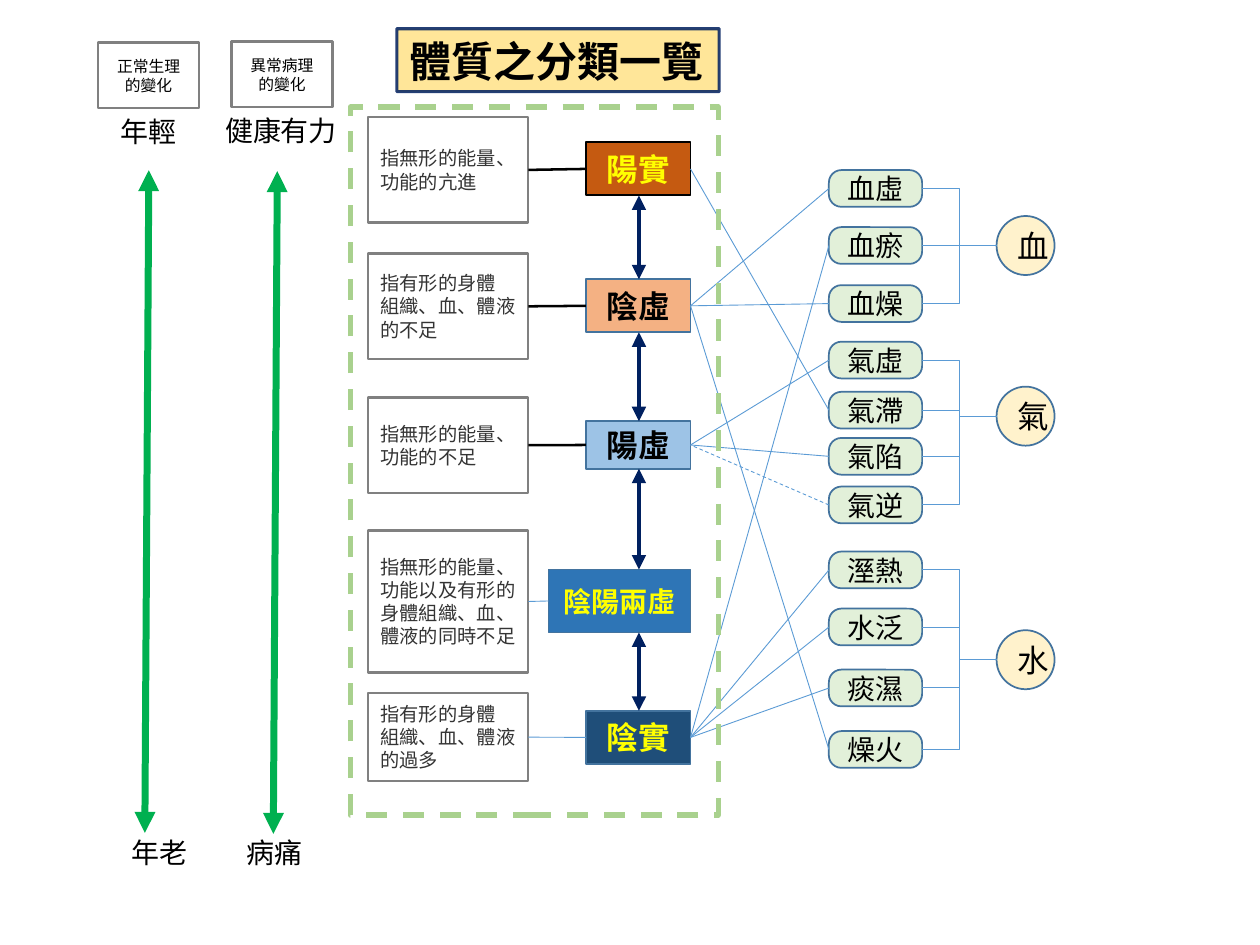
from lxml import etree
from pptx import Presentation
from pptx.dml.color import RGBColor
from pptx.enum.dml import MSO_LINE
from pptx.enum.shapes import MSO_CONNECTOR, MSO_SHAPE
from pptx.enum.text import MSO_ANCHOR, PP_ALIGN
from pptx.oxml.ns import qn
from pptx.util import Cm, Pt

RECT, ROUND, OVAL = MSO_SHAPE.RECTANGLE, MSO_SHAPE.ROUNDED_RECTANGLE, MSO_SHAPE.OVAL
STRAIGHT, ELBOW = MSO_CONNECTOR.STRAIGHT, MSO_CONNECTOR.ELBOW
LEFT, CENTER = PP_ALIGN.LEFT, PP_ALIGN.CENTER
TOP, MIDDLE = MSO_ANCHOR.TOP, MSO_ANCHOR.MIDDLE
DASH = MSO_LINE.DASH

BLACK, YELLOW, GREY, NAVY = "000000", "FFFF00", "808080", "002060"
EDGE, THIN, GREEN = "43739E", "5B9BD5", "00B050"


def paint(code):
    return RGBColor.from_string(code)


class Chart:
    """Holds the current slide and the text styles, and draws each element."""

    styles = {
        "label": {"name": "Arial", "size": Pt(16)},
        "head": {"name": "Arial", "size": Pt(9)},
        "note": {"name": "Roboto", "size": Pt(11)},
        "type": {"name": "Calibri", "size": Pt(18), "bold": True},
        "mixed": {"name": "Calibri", "size": Pt(16), "bold": True},
        "pill": {"name": "Calibri", "size": Pt(16)},
        "group": {"name": "Calibri", "size": Pt(18)},
        "title": {"name": "Noto Sans CJK SC", "size": Pt(24), "bold": True},
    }

    def __init__(self, slide):
        self.slide = slide

    def words(self, shape, text, style, color=BLACK, align=CENTER, anchor=MIDDLE, wrap=True):
        frame = shape.text_frame
        frame.word_wrap = wrap
        frame.vertical_anchor = anchor
        frame.text = text
        for para in frame.paragraphs:
            para.alignment = align
            for key, value in self.styles[style].items():
                setattr(para.font, key, value)
            para.font.color.rgb = paint(color)

    def shape(self, kind, place, fill, edge, width, dash=None):
        shape = self.slide.shapes.add_shape(kind, *map(Cm, place))
        shape.shadow.inherit = False
        if fill:
            shape.fill.solid()
            shape.fill.fore_color.rgb = paint(fill)
        else:
            shape.fill.background()
        self.stroke(shape.line, edge, width, dash)
        return shape

    def stroke(self, line, color, width, dash=None):
        line.color.rgb = paint(color)
        line.width = Pt(width)
        if dash:
            line.dash_style = dash

    def label(self, text, left, top, width):
        box = self.slide.shapes.add_textbox(Cm(left), Cm(top), Cm(width), Cm(1.22))
        self.words(box, text, "label", align=LEFT, anchor=TOP, wrap=False)

    def link(self, start, end, color=THIN, width=0.5, kind=STRAIGHT, dash=None):
        link = self.slide.shapes.add_connector(kind, *map(Cm, start + end))
        self.stroke(link.line, color, width, dash)
        etree.SubElement(link._element.spPr, qn("a:effectLst"))
        return link

    def arrow(self, start, end, color, width):
        """Draw a line with a triangle at both ends."""
        line = self.link(start, end, color, width)._element.spPr.find(qn("a:ln"))
        for tag in ("a:headEnd", "a:tailEnd"):
            etree.SubElement(line, qn(tag), type="triangle")


# Name, fill, text colour, left, top, height, style; note text, top, height; link colour, width
TYPES = [
    ("陽實", "C55A11", YELLOW, 11.81, 2.87, 1.07, "type",
     "指無形的能量、\n功能的亢進", 2.36, 2.13, BLACK, 1.45),
    ("陰虛", "F4B183", BLACK, 11.81, 5.63, 1.07, "type",
     "指有形的身體\n組織、血、體液\n的不足", 5.11, 2.13, BLACK, 1.45),
    ("陽虛", "9DC3E6", BLACK, 11.81, 8.49, 0.96, "type",
     "指無形的能量、\n功能的不足", 8.01, 1.93, BLACK, 1.45),
    ("陰陽兩虛", "2E75B6", YELLOW, 11.06, 11.48, 1.27, "mixed",
     "指無形的能量、\n功能以及有形的\n身體組織、血、\n體液的同時不足", 10.69, 2.87, THIN, 0.5),
    ("陰實", "1F4E79", YELLOW, 11.81, 14.33, 1.07, "type",
     "指有形的身體\n組織、血、體液\n的過多", 13.97, 1.78, THIN, 0.5),
]
# Group, middle; then each sign, its middle, and the type it comes from
GROUPS = [
    ("血", 4.95, [("血虛", 3.8, "陰虛"), ("血瘀", 4.95, "陰實"), ("血燥", 6.12, "陰虛")]),
    ("氣", 8.39, [("氣虛", 7.26, "陽虛"), ("氣滯", 8.27, "陽實"),
                 ("氣陷", 9.2, "陽虛"), ("氣逆", 10.18, "陽虛")]),
    ("水", 13.3, [("溼熱", 11.49, "陰實"), ("水泛", 12.64, "陰實"),
                 ("痰濕", 13.87, "陰實"), ("燥火", 15.11, "陰虛")]),
]
# Heading, left, top; upper label, left, top, width; lower label, left; arrow x, y
SCALES = [
    ("正常生理\n的變化", 1.98, 0.86, "年輕", 2.18, 2.18, 1.65, "年老", 2.41, 3.0, 3.43),
    ("異常病理\n的變化", 4.67, 0.84, "健康有力", 4.29, 2.16, 2.79, "病痛", 4.72, 5.59, 3.45),
]
NOTE_X, NOTE_W = 7.42, 3.23
TYPE_END, TYPE_MID = 13.92, 12.88
PILL_X, PILL_W, PILL_H = 16.71, 1.88, 0.74
GROUP_X, GROUP_W, GROUP_H = 20.09, 1.17, 1.19


def main():
    deck = Presentation()
    deck.slide_width, deck.slide_height = Cm(25.4), Cm(19.05)
    chart = Chart(deck.slides.add_slide(deck.slide_layouts[6]))

    for head, left, top, upper, x, y, width, lower, low, mid, start in SCALES:
        box = chart.shape(RECT, (left, top, 2.03, 1.32), "FFFFFF", GREY, 1.45)
        chart.words(box, head, "head", wrap=False)
        chart.label(upper, x, y, width)
        chart.label(lower, low, 16.71, 1.65)
        chart.arrow((mid, start), (mid - 0.08, start + 13.36), GREEN, 4)

    mids, last = {}, None
    for name, fill, color, left, top, high, style, note, y, tall, ink, width in TYPES:
        mids[name] = top + high / 2
        box = chart.shape(RECT, (left, top, TYPE_END - left, high), fill,
                          BLACK if name == "陽實" else EDGE, 1)
        chart.words(box, name, style, color)
        box = chart.shape(RECT, (NOTE_X, y, NOTE_W, tall), "FFFFFF", GREY, 1.45)
        chart.words(box, note, "note", "343434", LEFT, wrap=False)
        chart.link((NOTE_X + NOTE_W, y + tall / 2), (left, mids[name]), ink, width)
        if last:
            chart.arrow((TYPE_MID, last), (TYPE_MID, top), NAVY, 2.75)
        last = top + high

    for group, mid, signs in GROUPS:
        oval = chart.shape(OVAL, (GROUP_X, mid - GROUP_H / 2, GROUP_W, GROUP_H), "FFF2CC", EDGE, 1)
        chart.words(oval, group, "group")
        for sign, y, root in signs:
            pill = chart.shape(ROUND, (PILL_X, y - PILL_H / 2, PILL_W, PILL_H), "E2F0D9", EDGE, 1)
            pill.adjustments[0] = 0.34
            chart.words(pill, sign, "pill")
            chart.link((PILL_X + PILL_W, y), (GROUP_X, mid), kind=ELBOW)
            chart.link((PILL_X, y), (TYPE_END, mids[root]), dash=DASH if sign == "氣逆" else None)

    title = chart.shape(RECT, (8.0, 0.58, 6.5, 1.27), "FFE699", NAVY, 1.75)
    shade = title._element.spPr.find(qn("a:ln")).find(".//" + qn("a:srgbClr"))
    etree.SubElement(shade, qn("a:alpha"), val="85000")
    chart.words(title, "體質之分類一覽", "title", align=LEFT, wrap=False)
    chart.shape(RECT, (7.06, 2.16, 7.42, 14.27), None, "A9D18E", 3, DASH)

    deck.save("out.pptx")


if __name__ == "__main__":
    main()
